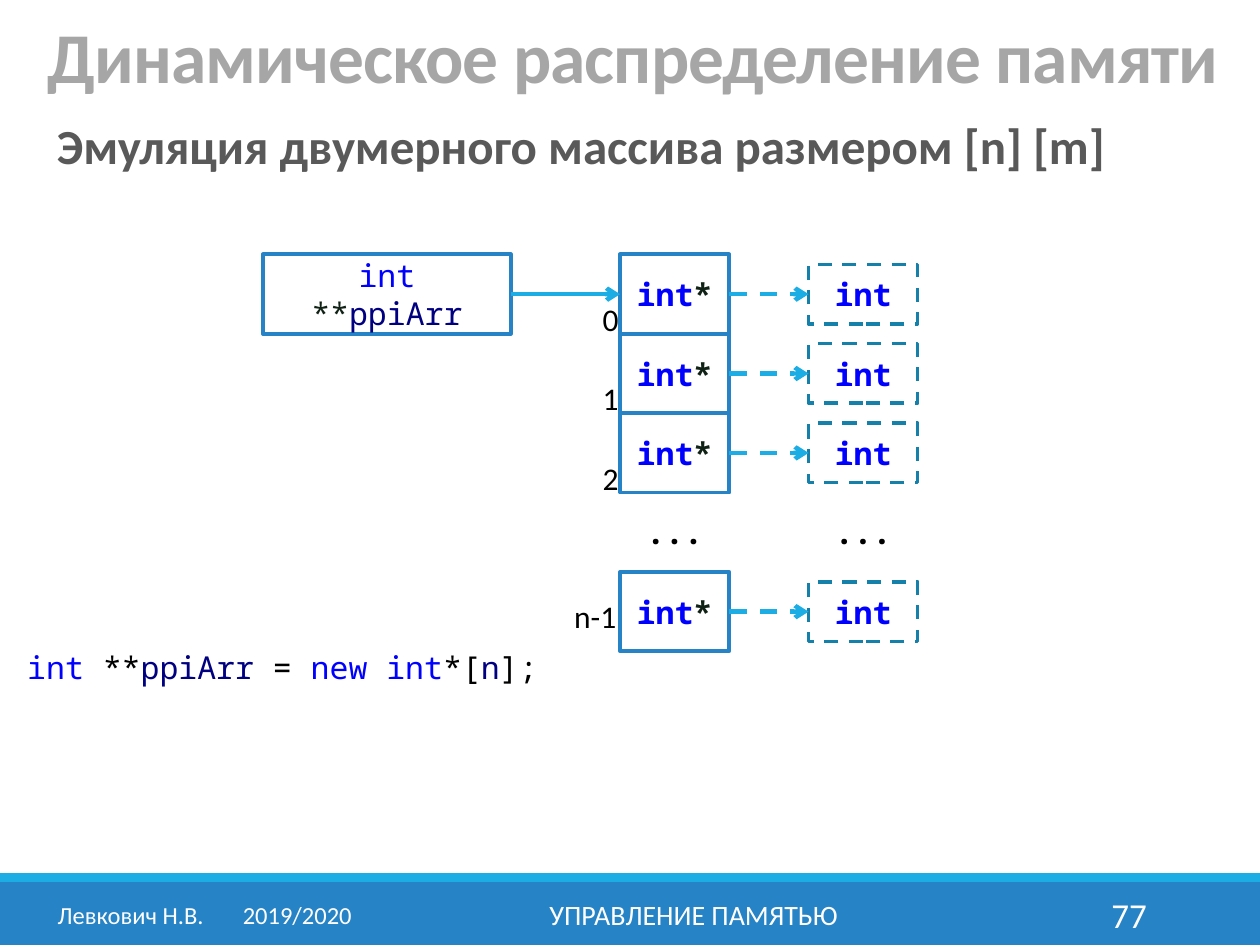
from lxml import etree
from pptx import Presentation
from pptx import util as u
from pptx.dml.color import RGBColor
from pptx.enum import dml, shapes, text
from pptx.oxml import ns

HUES = {
    "bar": "2683C6", "edge": "1CADE4", "dash": "1580A9",
    "title": "A6A6A6", "head": "595959", "white": "FFFFFF", "black": "000000",
    "key": "0000FF", "name": "000080", "star": "102215",
}
SANS, MONO = "Calibri", "Noto Sans Mono"
LEFT, MID, RIGHT = text.PP_ALIGN.LEFT, text.PP_ALIGN.CENTER, text.PP_ALIGN.RIGHT
TOP, CORE, BASE = (text.MSO_ANCHOR.TOP, text.MSO_ANCHOR.MIDDLE,
                   text.MSO_ANCHOR.BOTTOM)

# Grid of the diagram, in cm
ROW_Y, ROW_H = 5.13, 1.6
CELL_X, ITEM_X, CELL_W, ITEM_H = 12.5, 16.3, 2.2, 1.2


def hue(key):
    return RGBColor.from_string(HUES[key])


def cm(*nums):
    return [u.Cm(n) for n in nums]


def write(shape, parts, size, font=SANS, bold=False, align=LEFT, anchor=TOP):
    """Fill a shape with one paragraph of (text, colour) parts."""
    frame = shape.text_frame
    frame.word_wrap = True
    frame.vertical_anchor = anchor
    para = frame.paragraphs[0]
    para.alignment = align
    for words, key in parts:
        run = para.add_run()
        run.text = words
        run.font.size, run.font.name = u.Pt(size), font
        run.font.bold = bold
        run.font.color.rgb = hue(key)
    return para


def label(slide, box, parts, size, **style):
    return write(slide.shapes.add_textbox(*cm(*box)), parts, size, **style)


def bar(slide, top, high, key):
    rect = slide.shapes.add_shape(shapes.MSO_SHAPE.RECTANGLE, *cm(0, top, 25.4, high))
    rect.shadow.inherit = False
    rect.fill.solid()
    rect.fill.fore_color.rgb = hue(key)
    rect.line.fill.background()


def cell(slide, box, parts, bold=True, dash=False):
    rect = slide.shapes.add_shape(shapes.MSO_SHAPE.RECTANGLE, *cm(*box))
    rect.shadow.inherit = False
    rect.fill.background()
    rect.line.color.rgb = hue("dash" if dash else "bar")
    rect.line.width = u.Pt(2 if dash else 2.25)
    if dash:
        rect.line.dash_style = dml.MSO_LINE.DASH
    write(rect, parts, 18, font=MONO, bold=bold, align=MID, anchor=CORE)
    return rect


def arrow(slide, start, end, dash=False):
    """Join the right side of one rectangle to the left side of another."""
    link = slide.shapes.add_connector(shapes.MSO_CONNECTOR.STRAIGHT, 0, 0, 0, 0)
    link.begin_connect(start, 3)
    link.end_connect(end, 1)
    link.line.color.rgb = hue("edge")
    link.line.width = u.Pt(2.5)
    if dash:
        link.line.dash_style = dml.MSO_LINE.DASH
    props = link.element.spPr
    tail = etree.SubElement(props.find(ns.qn("a:ln")), ns.qn("a:tailEnd"))
    tail.set("type", "arrow")
    etree.SubElement(props, ns.qn("a:effectLst"))


def row(slide, step):
    """Draw a pointer cell and the item it points to."""
    top = ROW_Y + step * ROW_H
    ptr = cell(slide, (CELL_X, top, CELL_W, ROW_H), [("int", "key"), ("*", "star")])
    item = cell(slide, (ITEM_X, top + (ROW_H - ITEM_H) / 2, CELL_W, ITEM_H),
                [("int", "key")], dash=True)
    arrow(slide, ptr, item, dash=True)
    return ptr


def diagram(slide):
    root = cell(slide, (5.3, ROW_Y, 5, ROW_H),
                [("int", "key"), (" **", "star"), ("ppiArr", "name")], bold=False)
    ptrs = [row(slide, step) for step in (0, 1, 2, 4)]
    arrow(slide, root, ptrs[0])

    # Indices beside the pointer cells
    for step in range(3):
        label(slide, (11.9, ROW_Y + step * ROW_H + 1, 0.6, 0.6),
              [(str(step), "black")], 18, align=MID, anchor=CORE)
    label(slide, (11.3, 12.12, 1.4, 0.6), [("n-1", "black")], 18,
          align=MID, anchor=CORE)

    # Skipped row
    for left in (CELL_X, ITEM_X):
        label(slide, (left, ROW_Y + 3 * ROW_H, CELL_W, ROW_H), [("...", "black")],
              18, font=MONO, bold=True, align=MID, anchor=CORE)


def footer(slide):
    bar(slide, 17.78, 1.27, "bar")
    bar(slide, 17.6, 0.18, "edge")
    para = label(slide, (0.82, 17.93, 6.62, 1.02),
                 [("Левкович Н.В.\t2019/2020", "white")], 14, align=MID, anchor=CORE)
    tabs = etree.SubElement(para._p.get_or_add_pPr(), ns.qn("a:tabLst"))
    etree.SubElement(tabs, ns.qn("a:tab"), pos=str(u.Cm(3.73)), algn="l")
    label(slide, (7.67, 17.93, 12.62, 1.02), [("УПРАВЛЕНИЕ ПАМЯТЬЮ", "white")],
          16, align=MID, anchor=CORE)
    label(slide, (20.62, 17.93, 2.75, 1.02), [("77", "white")], 20,
          align=RIGHT, anchor=CORE)


def main():
    deck = Presentation()
    deck.slide_width, deck.slide_height = cm(25.4, 19.05)
    slide = deck.slides.add_slide(deck.slide_layouts[6])
    footer(slide)

    # Headings
    para = label(slide, (0.7, 0.33, 24.4, 1.73),
                 [("Динамическое распределение памяти", "title")], 40.8,
                 bold=True, anchor=BASE)
    para.line_spacing = 0.75
    para.runs[0].font._element.set("spc", "-50")
    para = label(slide, (0.9, 2.34, 23.8, 1.35),
                 [("Эмуляция двумерного массива размером [n] [m]", "head")], 28,
                 bold=True)
    para.line_spacing = 0.9

    diagram(slide)

    # Line of code
    label(slide, (0.3, 12.93, 12.7, 1.02),
          [("int", "key"), (" **", "black"), ("ppiArr", "name"), (" = ", "black"),
           ("new", "key"), (" ", "black"), ("int", "key"), ("*[", "black"),
           ("n", "name"), ("];", "black")], 18, font=MONO)
    deck.save("out.pptx")


if __name__ == "__main__":
    main()
